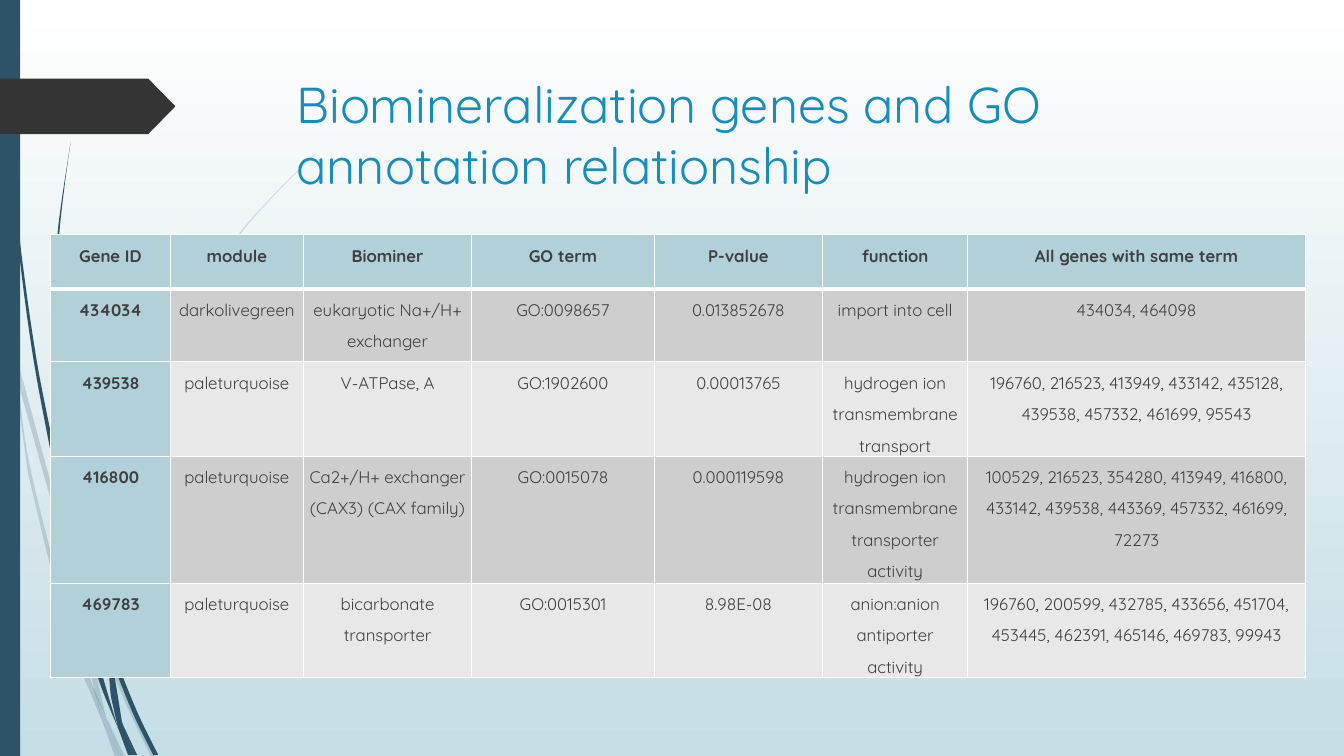
from pptx import Presentation
from pptx import util as u
from pptx.dml.color import RGBColor
from pptx.enum import shapes, text
from pptx.oxml import parse_xml
from pptx.oxml.ns import nsdecls, qn

THEME = {
    "font": "Quicksand",
    "title_size": u.Pt(36),
    "cell_size": u.Pt(12),
    "title": RGBColor.from_string("178DBB"),
    "body": RGBColor.from_string("404040"),
    "navy": RGBColor.from_string("2E5369"),
    "tag": RGBColor.from_string("353535"),
    "sky": [RGBColor.from_string("FFFFFF"), RGBColor.from_string("C5DEE5")],
    "key": RGBColor.from_string("B2D0D8"),
    "bands": [RGBColor.from_string("E8E8E8"), RGBColor.from_string("CECECE")],
    "rule": "FFFFFF",
}

PALE_STRANDS = [
    ([(0, 2.82), (0.09, 3.22), (0.11, 3.5)], [(0.1, 3.44), (0, 2.99)]),
    ([(0.14, 3.45), (0.62, 5.2), (0.85, 5.86)],
     [(0.84, 5.99), (0.58, 5.22), (0.17, 3.76)]),
    ([(0.88, 5.96), (0.92, 6.07), (1.27, 6.92), (1.55, 7.51)],
     [(1.5, 7.51), (1.23, 6.94), (0.88, 6.1)]),
    ([(1.05, 7.11), (1.24, 7.51)], [(1.19, 7.51)]),
    ([(0.11, 3.5), (0.17, 3.76), (0.31, 4.69), (0.7, 6.19), (0.93, 6.83), (1.01, 7.14)],
     [(0.92, 6.93), (0.65, 6.21), (0.28, 4.7)]),
    ([(0.84, 5.99), (0.88, 6.1), (0.91, 6.46), (1.05, 7.11)],
     [(0.96, 6.92), (0.93, 6.83), (0.87, 6.46)]),
    ([(0.88, 5.96), (0.88, 5.84), (1.1, 4.62), (1.6, 3.49), (2.29, 2.45), (2.68, 1.98), (3.12, 1.54)],
     [(3.12, 1.53), (2.68, 1.97), (2.28, 2.44), (1.58, 3.48), (1.07, 4.61), (0.85, 5.84)]),
    ([(1.01, 7.14), (1.19, 7.51)], [(1.14, 7.51)]),
    ([(0.85, 5.86), (0.88, 5.96), (0.88, 6.1)], [(0.84, 5.99)]),
    ([(0.93, 6.83), (1.05, 7.11), (1.19, 7.51)], [(1.01, 7.14)]),
]
DARK_STRANDS = [
    ([(0.04, 0), (0.05, 0.48), (0.08, 1.09), (0.19, 2.32), (0.36, 3.55), (0.55, 4.53), (0.57, 4.81)],
     [(0.56, 4.77), (0.33, 3.55), (0.17, 2.33), (0.07, 1.1), (0.04, 0.48), (0.03, 0)]),
    ([(0.6, 4.72), (0.93, 5.9), (1.06, 6.31)],
     [(1.06, 6.45), (0.88, 5.92), (0.64, 5.05)]),
    ([(1.1, 6.41), (1.13, 6.49), (1.36, 7.06), (1.57, 7.49)],
     [(1.52, 7.49), (1.32, 7.08), (1.11, 6.56)]),
    ([(0.57, 4.77), (0.64, 5.05), (0.72, 5.56), (0.98, 6.57), (1.17, 7.22)],
     [(1.11, 7.08), (0.93, 6.59), (0.68, 5.57)]),
    ([(0.6, 4.72), (0.58, 4.53), (0.54, 3.49), (0.58, 2.45), (0.63, 1.93), (0.7, 1.41)],
     [(0.62, 1.93), (0.56, 2.45), (0.52, 3.49), (0.55, 4.49)]),
    ([(1.22, 7.19), (1.36, 7.49)], [(1.33, 7.49)]),
    ([(0.55, 4.49), (0.6, 4.72), (0.64, 5.05)], [(0.57, 4.77)]),
    ([(1.1, 6.41), (1.11, 6.33), (1.25, 5.52), (1.58, 4.76), (2.05, 4.06), (2.45, 3.59), (2.61, 3.44)],
     [(2.6, 3.44), (2.31, 3.73), (2.04, 4.05), (1.56, 4.74), (1.22, 5.51), (1.06, 6.31)]),
    ([(1.17, 7.22), (1.31, 7.49)], [(1.27, 7.49)]),
    ([(1.06, 6.45), (1.11, 6.56), (1.21, 7.16)],
     [(1.22, 7.19), (1.16, 7.06), (1.1, 6.91)]),
    ([(1.06, 6.31), (1.1, 6.41), (1.11, 6.56)], [(1.06, 6.45)]),
    ([(1.1, 6.91), (1.22, 7.19), (1.33, 7.49)], [(1.3, 7.49), (1.17, 7.22)]),
]
GENES = [
    ["Gene ID", "module", "Biominer", "GO term", "P-value", "function", "All genes with same term"],
    ["434034", "darkolivegreen", "eukaryotic Na+/H+ exchanger", "GO:0098657", "0.013852678",
     "import into cell", "434034, 464098"],
    ["439538", "paleturquoise", "V-ATPase, A", "GO:1902600", "0.00013765",
     "hydrogen ion transmembrane transport",
     "196760, 216523, 413949, 433142, 435128, 439538, 457332, 461699, 95543"],
    ["416800", "paleturquoise", "Ca2+/H+ exchanger (CAX3) (CAX family)", "GO:0015078", "0.000119598",
     "hydrogen ion transmembrane transporter activity",
     "100529, 216523, 354280, 413949, 416800, 433142, 439538, 443369, 457332, 461699, 72273"],
    ["469783", "paleturquoise", "bicarbonate transporter", "GO:0015301", "8.98E-08",
     "anion:anion antiporter activity",
     "196760, 200599, 432785, 433656, 451704, 453445, 462391, 465146, 469783, 99943"],
]
COLUMN_WIDTHS = [1.19, 1.32, 1.67, 1.81, 1.67, 1.44, 3.35]
ROW_HEIGHTS = [0.54, 0.72, 0.9, 1.26, 0.72]


def smooth(edge, steps=6):
    ends = [edge[0], *edge, edge[-1]]
    curve = [edge[0]]
    for before, start, stop, after in zip(ends, ends[1:], ends[2:], ends[3:]):
        for step in range(1, steps + 1):
            t = step / steps
            curve.append(tuple(
                b + (c - a) * t / 2 + (2 * a - 5 * b + 4 * c - d) * t**2 / 2
                + (3 * b - a - 3 * c + d) * t**3 / 2
                for a, b, c, d in zip(before, start, stop, after)))
    return [(u.Inches(x), u.Inches(y)) for x, y in curve]


def paint(shape, color):
    shape.shadow.inherit = False
    shape.fill.solid()
    shape.fill.fore_color.rgb = color
    shape.line.fill.background()


deck = Presentation()
deck.slide_width, deck.slide_height = u.Inches(13.33), u.Inches(7.5)
slide = deck.slides.add_slide(deck.slide_layouts[5])

sky = slide.background.fill
sky.gradient()
sky.gradient_angle = 270
for stop, color, position in zip(sky.gradient_stops, THEME["sky"], (0, 1)):
    stop.color.rgb = color
    stop.position = position

for strands, opacity in ((PALE_STRANDS, 20), (DARK_STRANDS, 100)):
    grass = slide.shapes.add_group_shape()
    for right_edge, left_edge in strands:
        outline = smooth(right_edge) + smooth(left_edge)
        builder = grass.shapes.build_freeform(*outline[0])
        builder.add_line_segments(outline[1:], close=True)
        strand = builder.convert_to_shape()
        paint(strand, THEME["navy"])
        if opacity < 100:
            tint = strand.element.spPr.find(f"{qn('a:solidFill')}/{qn('a:srgbClr')}")
            tint.append(parse_xml(f'<a:alpha {nsdecls("a")} val="{opacity * 1000}"/>'))

side_bar = slide.shapes.add_shape(
    shapes.MSO_SHAPE.RECTANGLE, 0, 0, u.Inches(0.2), deck.slide_height)
paint(side_bar, THEME["navy"])
page_tag = slide.shapes.add_shape(
    shapes.MSO_SHAPE.PENTAGON, 0, u.Inches(0.78), u.Inches(1.74), u.Inches(0.55))
page_tag.adjustments[0] = 0.49
paint(page_tag, THEME["tag"])

title = slide.shapes.title
title.element.getparent().append(title.element)
title.left, title.top = u.Inches(2.84), u.Inches(0.68)
title.width, title.height = u.Inches(9.75), u.Inches(1.4)
title.text_frame.text = "Biomineralization genes and GO annotation relationship"
title.text_frame.word_wrap = True
title.text_frame.auto_size = text.MSO_AUTO_SIZE.NONE
title.text_frame.vertical_anchor = text.MSO_ANCHOR.TOP
heading = title.text_frame.paragraphs[0]
heading.alignment = text.PP_ALIGN.LEFT
heading.font.name = THEME["font"]
heading.font.size = THEME["title_size"]
heading.font.color.rgb = THEME["title"]

gene_table = slide.shapes.add_table(
    len(GENES), len(COLUMN_WIDTHS), u.Inches(0.5), u.Inches(2.33),
    u.Inches(sum(COLUMN_WIDTHS)), u.Inches(sum(ROW_HEIGHTS))).table
for column, width in zip(gene_table.columns, COLUMN_WIDTHS):
    column.width = u.Inches(width)
for row, height in zip(gene_table.rows, ROW_HEIGHTS):
    row.height = u.Inches(height)

for r, gene in enumerate(GENES):
    for c, entry in enumerate(gene):
        cell = gene_table.cell(r, c)
        cell.text = entry
        cell.margin_left = cell.margin_right = u.Inches(0.05)
        cell.margin_top = cell.margin_bottom = 0
        is_key = r == 0 or c == 0
        for side in "LRTB":
            thick = (r == 0 and side == "B") or (r == 1 and side == "T")
            cell._tc.get_or_add_tcPr().append(parse_xml(
                f'<a:ln{side} {nsdecls("a")} w="{u.Pt(3 if thick else 1)}"><a:solidFill>'
                f'<a:srgbClr val="{THEME["rule"]}"/></a:solidFill></a:ln{side}>'))
        cell.fill.solid()
        cell.fill.fore_color.rgb = THEME["key"] if is_key else THEME["bands"][r % 2]
        line = cell.text_frame.paragraphs[0]
        line.alignment = text.PP_ALIGN.CENTER
        line.line_spacing = 1.5
        line.font.name = THEME["font"]
        line.font.size = THEME["cell_size"]
        line.font.bold = is_key
        line.font.color.rgb = THEME["body"]

deck.save("out.pptx")
